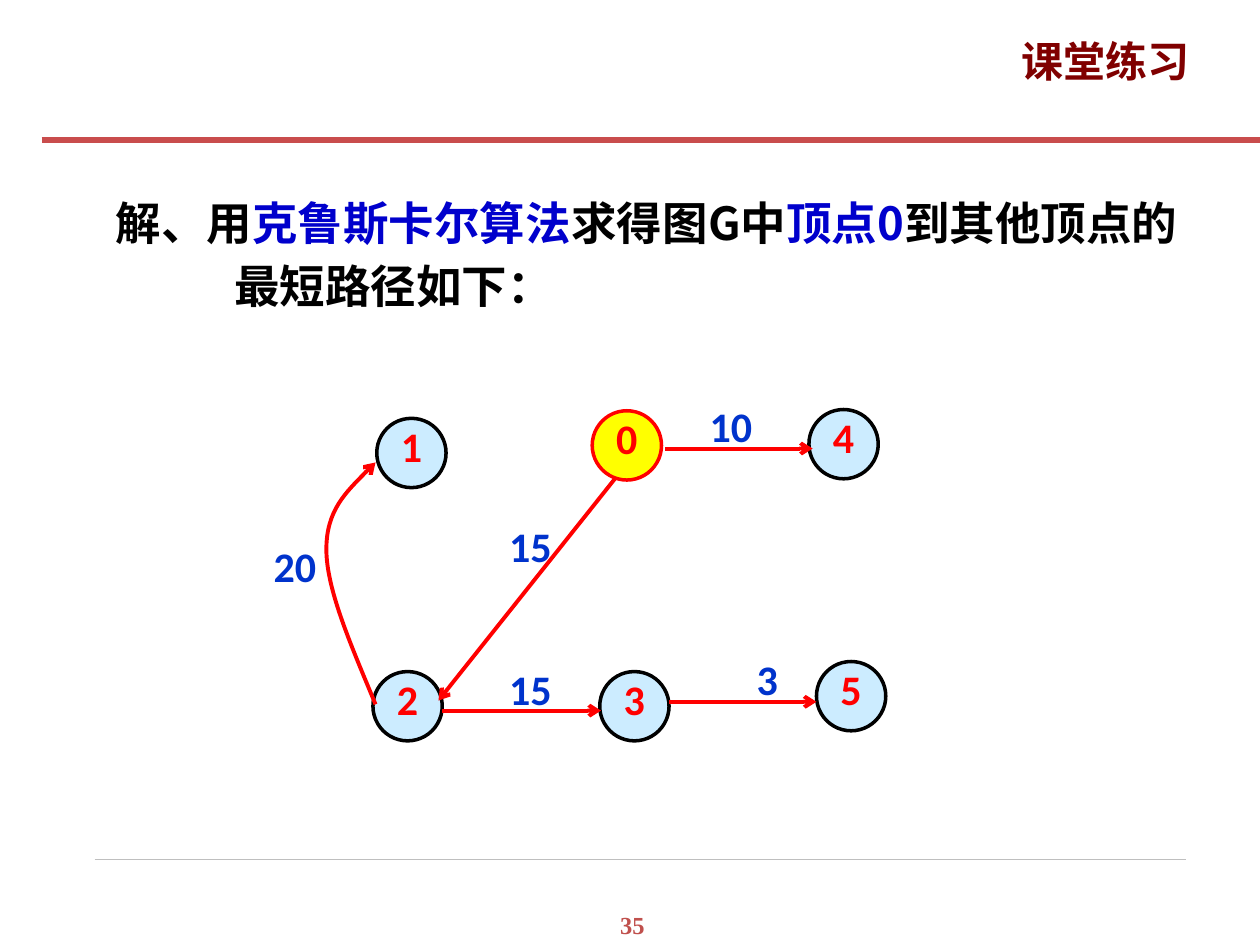
"""Build a class exercise slide: shortest paths from vertex 0 drawn as a graph."""
import pptx
import pptx.dml.color
import pptx.enum.shapes
import pptx.enum.text
import pptx.oxml.ns
import pptx.util
from lxml import etree

COLORS = {"maroon": "800000", "rule": "C94D4D", "number": "C0504D", "grey": "BFBFBF",
          "red": "FF0000", "blue": "0033CC", "navy": "0000CC", "black": "000000",
          "pale": "CCECFF", "yellow": "FFFF00"}
ALIGN = pptx.enum.text.PP_ALIGN
ANCHOR = pptx.enum.text.MSO_ANCHOR
SHAPE = pptx.enum.shapes.MSO_SHAPE
STRAIGHT = pptx.enum.shapes.MSO_CONNECTOR.STRAIGHT
rgb = pptx.dml.color.RGBColor.from_string
qn = pptx.oxml.ns.qn

prs = pptx.Presentation()
prs.slide_width = pptx.util.Inches(10)
prs.slide_height = pptx.util.Inches(7.5)
col = prs.slide_width / 100
row = prs.slide_height / 75
s = prs.slides.add_slide(prs.slide_layouts[5])


def write(sp, text, size=24, font="Calibri", color="black", align=ALIGN.CENTER,
          anchor=ANCHOR.TOP, wrap=True):
    tf = sp.text_frame
    tf.word_wrap = wrap
    tf.auto_size = pptx.enum.text.MSO_AUTO_SIZE.NONE
    tf.vertical_anchor = anchor
    p = tf.paragraphs[0]
    p.alignment = align
    r = p.add_run()
    r.text = text
    r.font.size = pptx.util.Pt(size)
    r.font.bold = True
    r.font.name = font
    r.font.color.rgb = rgb(COLORS[color])
    etree.SubElement(r.font._element, qn("a:ea")).set("typeface", font)
    return p


def stroke(sp, color, width, arrow=False):
    sp.line.color.rgb = rgb(COLORS[color])
    sp.line.width = pptx.util.Pt(width)
    if arrow:
        etree.SubElement(sp.line._get_or_add_ln(), qn("a:tailEnd")).set("type", "arrow")
    if sp._element.spPr.find(qn("a:effectLst")) is None:
        etree.SubElement(sp._element.spPr, qn("a:effectLst"))


title = s.shapes.title
title.left, title.top = round(80.1 * col), round(2.3 * row)
title.width, title.height = round(16 * col), round(6.9 * row)
write(title, "课堂练习", font="Noto Sans CJK SC", color="maroon",
      align=ALIGN.LEFT, wrap=False)

body = s.shapes.add_textbox(round(7.8 * col), round(14.3 * row),
                            round(89.1 * col), round(11 * row))
for text, color in [("解、用", "black"), ("克鲁斯卡尔算法", "navy"), ("求得图G中", "black"),
                    ("顶点0", "navy"), ("到其他顶点的最短路径如下：", "black")]:
    p = write(body, text, size=26, font="Noto Sans CJK SC", color=color, align=ALIGN.LEFT)
p.line_spacing = pptx.util.Pt(36)
pPr = p._p.get_or_add_pPr()
pPr.set("marL", str(round(9.8 * col)))
pPr.set("indent", str(round(-9.4 * col)))

number = s.shapes.add_textbox(round(47.7 * col), round(71.7 * row),
                              round(5 * col), round(3.4 * row))
write(number, "35", size=14, font="Times New Roman", color="number")

nodes = [("1", 29.9, 33.2), ("0", 47, 32.6), ("4", 64.2, 32.5),
         ("2", 29.6, 53.3), ("3", 47.6, 53.3), ("5", 64.8, 52.5)]
for name, x, y in nodes:
    sp = s.shapes.add_shape(SHAPE.OVAL, round(x * col), round(y * row),
                            round(5.5 * col), round(5.5 * row))
    source = name == "0"
    sp.fill.solid()
    sp.fill.fore_color.rgb = rgb(COLORS["yellow" if source else "pale"])
    sp.shadow.inherit = False
    stroke(sp, "red" if source else "black", 2)
    p = write(sp, name, color="red", anchor=ANCHOR.MIDDLE)
    p.line_spacing = pptx.util.Pt(20)
    tf = sp.text_frame
    tf.margin_left = tf.margin_right = tf.margin_top = tf.margin_bottom = 0

lines = [(7.5, 68.2, 94.1, 68.2, "grey", 0.25, False),
         (3.3, 11.1, 100, 11.1, "rule", 3.5, False),
         (52.8, 35.6, 64.5, 35.6, "red", 2.25, True),
         (48.8, 38, 34.8, 55.6, "red", 2.25, True),
         (35.1, 56.4, 47.7, 56.4, "red", 2.25, True),
         (53.1, 55.7, 64.8, 55.7, "red", 2.25, True)]
for x1, y1, x2, y2, color, width, arrow in lines:
    sp = s.shapes.add_connector(STRAIGHT, round(x1 * col), round(y1 * row),
                                round(x2 * col), round(y2 * row))
    stroke(sp, color, width, arrow)

curve = [(29.8, 55.9), (27.9, 51.3), (25.9, 46.8), (25.9, 43.6),
         (25.9, 40.5), (27.9, 38.6), (29.8, 36.7)]
points = [(round(x * col), round(y * row)) for x, y in curve]
fb = s.shapes.build_freeform(*points[0])
fb.add_line_segments(points[1:], close=False)
sp = fb.convert_to_shape()
sp.fill.background()
sp.shadow.inherit = False
stroke(sp, "red", 2.25, True)
segments = list(sp._element.iter(qn("a:lnTo")))
for i in range(0, len(segments), 3):
    bezier = etree.SubElement(segments[i].getparent(), qn("a:cubicBezTo"))
    for segment in segments[i:i + 3]:
        bezier.append(segment[0])
        segment.getparent().remove(segment)

weights = [("10", 54.9, 31.3), ("20", 20.3, 42.4), ("15", 39, 40.8),
           ("15", 39, 52.2), ("3", 57.8, 51.4)]
for text, x, y in weights:
    sp = s.shapes.add_textbox(round(x * col), round(y * row),
                              round(6.2 * col), round(5 * row))
    write(sp, text, color="blue")

prs.save("out.pptx")
